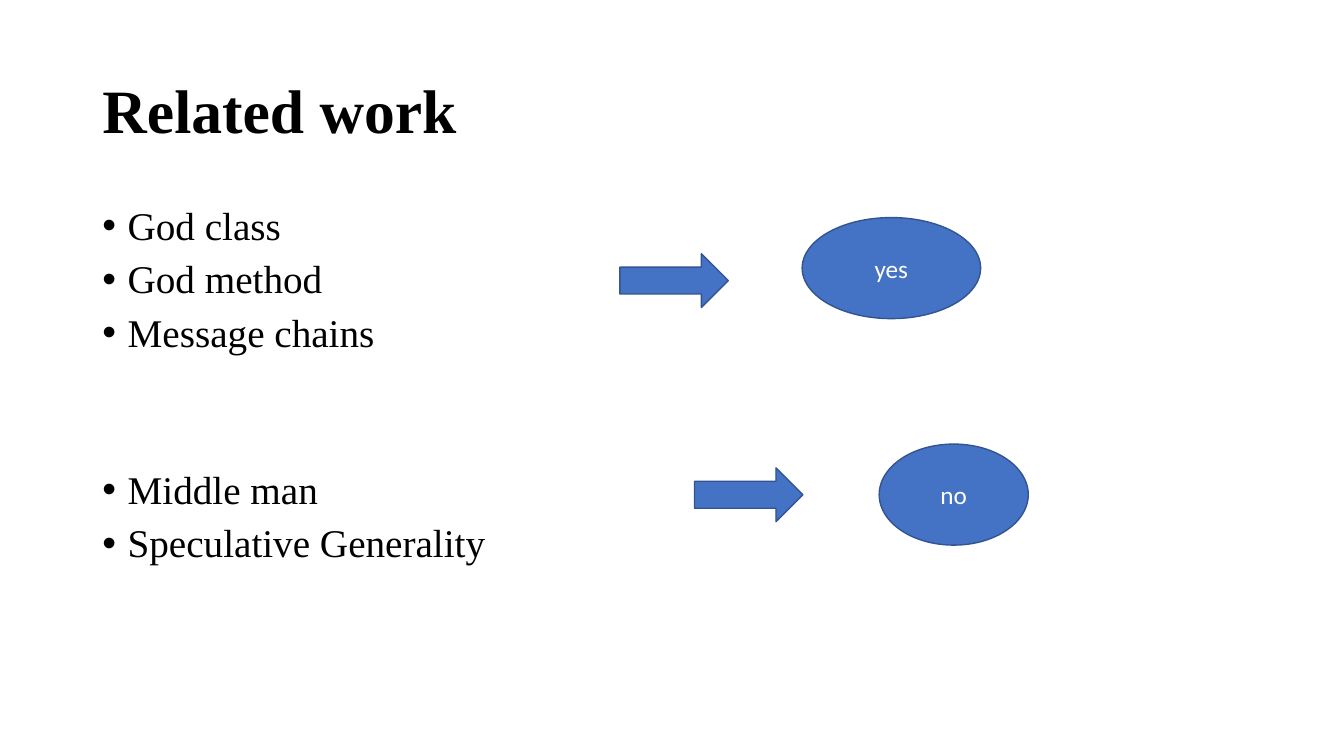
from dataclasses import dataclass

from lxml import etree
from pptx import Presentation
from pptx.dml.color import RGBColor
from pptx.enum.shapes import MSO_SHAPE
from pptx.enum.text import MSO_ANCHOR, MSO_AUTO_SIZE, PP_ALIGN
from pptx.oxml.ns import qn
from pptx.util import Pt

RIGHT_ARROW = MSO_SHAPE.RIGHT_ARROW
OVAL = MSO_SHAPE.OVAL
MIDDLE = MSO_ANCHOR.MIDDLE
TOP = MSO_ANCHOR.TOP
LEFT = PP_ALIGN.LEFT
CENTER = PP_ALIGN.CENTER
NO_AUTOFIT = MSO_AUTO_SIZE.NONE

COLORS = {"text": "000000", "fill": "4472C4", "outline": "325491", "label": "FFFFFF"}
SERIF = "Times New Roman"
SANS = "Calibri"

MARGIN_LEFT = 66
CONTENT_WIDTH = 828
BULLET_INDENT = 18
LINE_SPACING = 0.9
ITEM_GAP = 8
GROUP_GAP = 81.8
ARROW_WIDTH, ARROW_HEIGHT = 77.4, 38.4
OVAL_HEIGHT = 72.2


@dataclass(frozen=True)
class Verdict:
    """A group of code smells, with the arrow and oval that answer it."""
    smells: tuple[str, ...]
    answer: str
    arrow_left: float
    arrow_top: float
    oval_left: float
    oval_top: float
    oval_width: float


VERDICTS = (
    Verdict(("God class", "God method", "Message chains"), "yes",
            442.8, 181.2, 573, 155.4, 127.5),
    Verdict(("Middle man", "Speculative Generality"), "no",
            496.1, 334.2, 628, 317.2, 106.5),
)


def color(name: str) -> RGBColor:
    return RGBColor.from_string(COLORS[name])


def add_run(paragraph, text: str, size: float, font_name: str,
            color_name: str, bold: bool = False) -> None:
    run = paragraph.add_run()
    run.text = text
    run.font.size = Pt(size)
    run.font.name = font_name
    run.font.bold = bold
    run.font.color.rgb = color(color_name)


def place(shape, top: float, height: float, anchor: MSO_ANCHOR) -> None:
    """Set a placeholder across the content width."""
    shape.left, shape.top = Pt(MARGIN_LEFT), Pt(top)
    shape.width, shape.height = Pt(CONTENT_WIDTH), Pt(height)
    shape.text_frame.auto_size = NO_AUTOFIT
    shape.text_frame.word_wrap = True
    shape.text_frame.vertical_anchor = anchor


def set_bullet(paragraph) -> None:
    properties = paragraph._p.get_or_add_pPr()
    properties.set("marL", str(Pt(BULLET_INDENT)))
    properties.set("indent", str(-Pt(BULLET_INDENT)))
    etree.SubElement(properties, qn("a:buFont")).set("typeface", "Arial")
    etree.SubElement(properties, qn("a:buChar")).set("char", "•")


def fill_title(title) -> None:
    place(title, 28.8, 104.4, MIDDLE)
    paragraph = title.text_frame.paragraphs[0]
    paragraph.alignment = LEFT
    paragraph.line_spacing = LINE_SPACING
    add_run(paragraph, "Related work", 44, SERIF, "text", bold=True)


def fill_smells(body) -> None:
    place(body, 143.8, 342.6, TOP)
    frame = body.text_frame
    paragraph = None
    for verdict in VERDICTS:
        for index, smell in enumerate(verdict.smells):
            first = paragraph is None
            paragraph = frame.paragraphs[0] if first else frame.add_paragraph()
            paragraph.alignment = LEFT
            paragraph.line_spacing = LINE_SPACING
            starts_group = index == 0 and not first
            paragraph.space_before = Pt(GROUP_GAP if starts_group else ITEM_GAP)
            set_bullet(paragraph)
            add_run(paragraph, smell, 28, SERIF, "text")


def add_figure(slide, kind: MSO_SHAPE, left: float, top: float,
               width: float, height: float):
    shape = slide.shapes.add_shape(kind, Pt(left), Pt(top), Pt(width), Pt(height))
    shape.shadow.inherit = False
    shape.fill.solid()
    shape.fill.fore_color.rgb = color("fill")
    shape.line.color.rgb = color("outline")
    shape.line.width = Pt(1)
    return shape


def add_answer(slide, verdict: Verdict) -> None:
    oval = add_figure(slide, OVAL, verdict.oval_left, verdict.oval_top,
                      verdict.oval_width, OVAL_HEIGHT)
    oval.text_frame.vertical_anchor = MIDDLE
    paragraph = oval.text_frame.paragraphs[0]
    paragraph.alignment = CENTER
    add_run(paragraph, verdict.answer, 18, SANS, "label")


def main() -> None:
    presentation = Presentation()
    presentation.slide_width, presentation.slide_height = Pt(960), Pt(540)
    slide = presentation.slides.add_slide(presentation.slide_layouts[1])
    fill_title(slide.shapes.title)
    fill_smells(slide.placeholders[1])
    for verdict in VERDICTS:
        add_figure(slide, RIGHT_ARROW, verdict.arrow_left, verdict.arrow_top,
                   ARROW_WIDTH, ARROW_HEIGHT)
    for verdict in VERDICTS:
        add_answer(slide, verdict)
    presentation.save("out.pptx")


if __name__ == "__main__":
    main()
